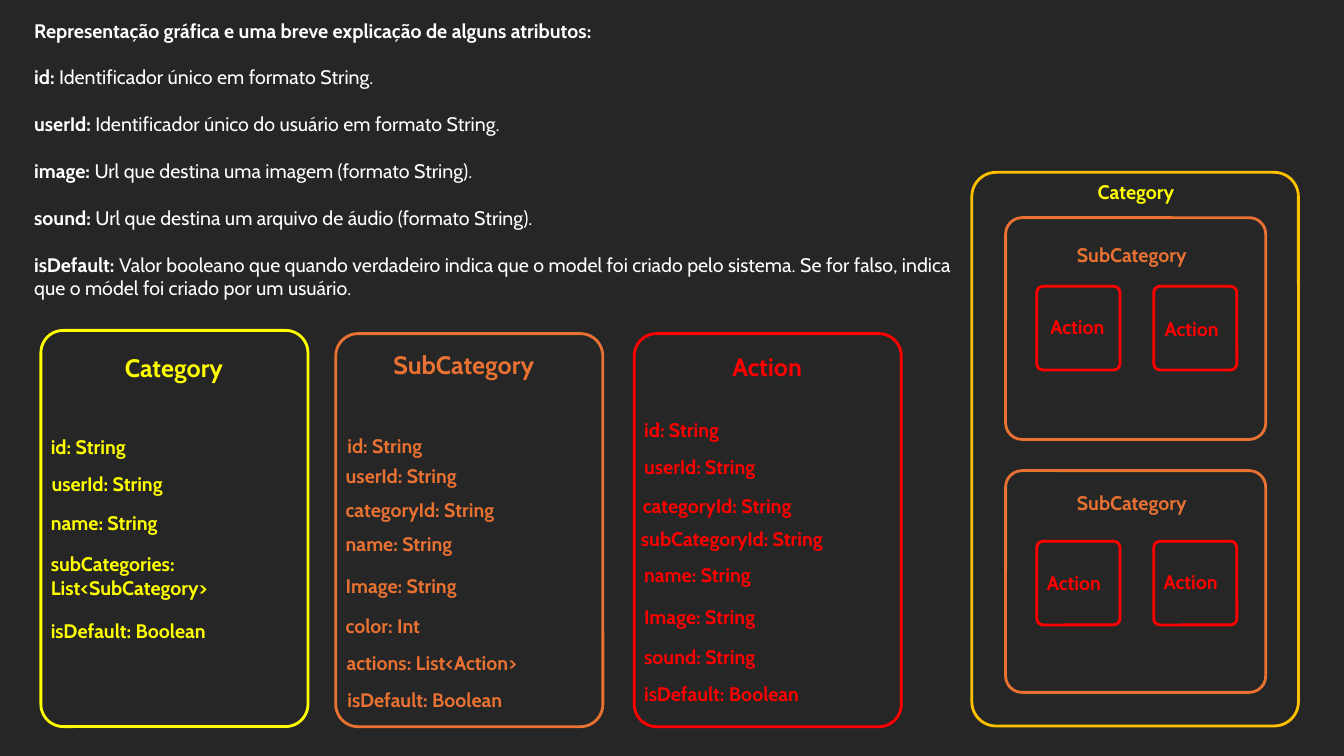
from pptx import Presentation
from pptx.dml.color import RGBColor
from pptx.enum import shapes, text
from pptx.util import Pt

FONT = "Cabin"
BACKGROUND = RGBColor(0x26, 0x26, 0x26)
WHITE = RGBColor(0xFF, 0xFF, 0xFF)
YELLOW = RGBColor(0xFF, 0xFF, 0x00)
AMBER = RGBColor(0xFF, 0xC0, 0x00)
ORANGE = RGBColor(0xE9, 0x71, 0x32)
RED = RGBColor(0xFF, 0x00, 0x00)

LINE_HEIGHT = 24.5
CARD_WIDTH = 190.8

DEFINITIONS = [
    ("id: ", "Identificador único em formato String."),
    ("userId: ", "Identificador único do usuário em formato String."),
    ("image: ", "Url que destina uma imagem (formato String)."),
    ("sound: ", "Url que destina um arquivo de áudio (formato String)."),
    ("isDefault: ", "Valor booleano que quando verdadeiro indica que o model foi "
     "criado pelo sistema. Se for falso, indica que o módel foi criado por um usuário."),
]

# Each attribute: text, then its offset from the card's left and top
CATEGORY_ATTRIBUTES = [
    ("id: String", 0, 71.3),
    ("userId: String", 0.5, 97.9),
    ("name: String", 0, 125.3),
    ("subCategories: List<SubCategory>", 0, 154.8),
    ("isDefault: Boolean", 0, 202.3),
]
SUBCATEGORY_ATTRIBUTES = [
    ("id: String", 1.2, 68.4),
    ("userId: String", 0, 89.3),
    ("categoryId: String", 0, 113.8),
    ("name: String", 0, 138.2),
    ("Image: String", 0, 167.8),
    ("color: Int", 0, 196.6),
    ("actions: List<Action>", 0.7, 223.2),
    ("isDefault: Boolean", 1.2, 249.8),
]
ACTION_ATTRIBUTES = [
    ("id: String", 0, 56.9),
    ("userId: String", 0, 82.8),
    ("categoryId: String", -0.9, 110.9),
    ("subCategoryId: String", -2.3, 134.6),
    ("name: String", 0, 160.6),
    ("Image: String", 0, 190.1),
    ("sound: String", 0, 218.9),
    ("isDefault: Boolean", 0, 245.5),
]


def add_text_frame(slide, left, top, width, height):
    box = slide.shapes.add_textbox(Pt(left), Pt(top), Pt(width), Pt(height))
    frame = box.text_frame
    frame.word_wrap = True
    frame.auto_size = text.MSO_AUTO_SIZE.SHAPE_TO_FIT_TEXT
    return frame


def set_font(paragraph, color, size=14, bold=None):
    font = paragraph.font
    font.name, font.size, font.bold = FONT, Pt(size), bold
    font.color.rgb = color


def add_label(slide, left, top, width, label, color, size=14, centered=False):
    height = LINE_HEIGHT * size / 14
    paragraph = add_text_frame(slide, left, top, width, height).paragraphs[0]
    paragraph.text = label
    set_font(paragraph, color, size, True)
    if centered:
        paragraph.alignment = text.PP_ALIGN.CENTER


def add_outline(slide, left, top, width, height, color, rounding=0.074):
    shape = slide.shapes.add_shape(
        shapes.MSO_SHAPE.ROUNDED_RECTANGLE, Pt(left), Pt(top), Pt(width), Pt(height))
    shape.adjustments[0] = rounding
    shape.shadow.inherit = False
    shape.fill.background()
    shape.line.color.rgb = color
    shape.line.width = Pt(2)


def add_definitions(slide, left, top, width, height):
    frame = add_text_frame(slide, left, top, width, height)
    for index, (term, meaning) in enumerate(DEFINITIONS):
        paragraph = frame.add_paragraph() if index else frame.paragraphs[0]
        set_font(paragraph, WHITE)
        if index:
            paragraph.space_before = Pt(16.8)
        for words, bold in ((term, True), (meaning, False)):
            run = paragraph.add_run()
            run.text = words
            run.font.bold = bold


def add_class_card(slide, left, top, height, name, color, name_offset, attributes):
    add_outline(slide, left, top, CARD_WIDTH, height, color, 0.084)
    name_left, name_top = name_offset
    add_label(slide, left + name_left, top + name_top, 175.7, name, color, 18, True)
    for attribute, shift, drop in attributes:
        add_label(slide, left + shift, top + drop, CARD_WIDTH, attribute, color)


def add_subcategory(slide, left, top, name_drop, action_drop, label_offsets):
    add_outline(slide, left, top, 185.8, 158.4, ORANGE)
    add_label(slide, left + 43.9, top + name_drop, 103.7, "SubCategory", ORANGE)
    for index, (shift, drop) in enumerate(label_offsets):
        action_left = left + 22.3 + index * 83.5
        action_top = top + action_drop
        add_outline(slide, action_left, action_top, 59.4, 59.8, RED)
        add_label(slide, action_left + shift, action_top + drop, 57, "Action", RED)


def add_nesting_diagram(slide, left, top, width, height):
    add_outline(slide, left, top, width, height, AMBER)
    add_label(slide, left + 82.8, top + 2.2, 75.6, "Category", YELLOW)
    add_subcategory(slide, left + 24.1, top + 32.4, 14.4, 49, [(2.6, 16.6), (0.7, 18)])
    add_subcategory(slide, left + 24.1, top + 213.1, 10.8, 50.4, [(0, 18), (0, 16.6)])


def main():
    presentation = Presentation()
    presentation.slide_width = Pt(960)
    presentation.slide_height = Pt(540)
    slide = presentation.slides.add_slide(presentation.slide_layouts[6])
    slide.background.fill.solid()
    slide.background.fill.fore_color.rgb = BACKGROUND

    # Heading and attribute explanations
    add_label(slide, 17.3, 10.1, 935.3,
              "Representação gráfica e uma breve explicação de alguns atributos:", WHITE)
    add_definitions(slide, 17.3, 42.5, 670.3, 193.7)

    # Class cards
    add_class_card(slide, 29.2, 236, 283, "Category", YELLOW,
                   (7.2, 12.2), CATEGORY_ATTRIBUTES)
    add_class_card(slide, 239.8, 238.3, 280.8, "SubCategory", ORANGE,
                   (3.6, 7.9), SUBCATEGORY_ATTRIBUTES)
    add_class_card(slide, 453, 238.3, 280.8, "Action", RED,
                   (7.2, 8.9), ACTION_ATTRIBUTES)

    # Nesting of the classes
    add_nesting_diagram(slide, 694.2, 123.1, 233.3, 395.5)

    presentation.save("out.pptx")


if __name__ == "__main__":
    main()
